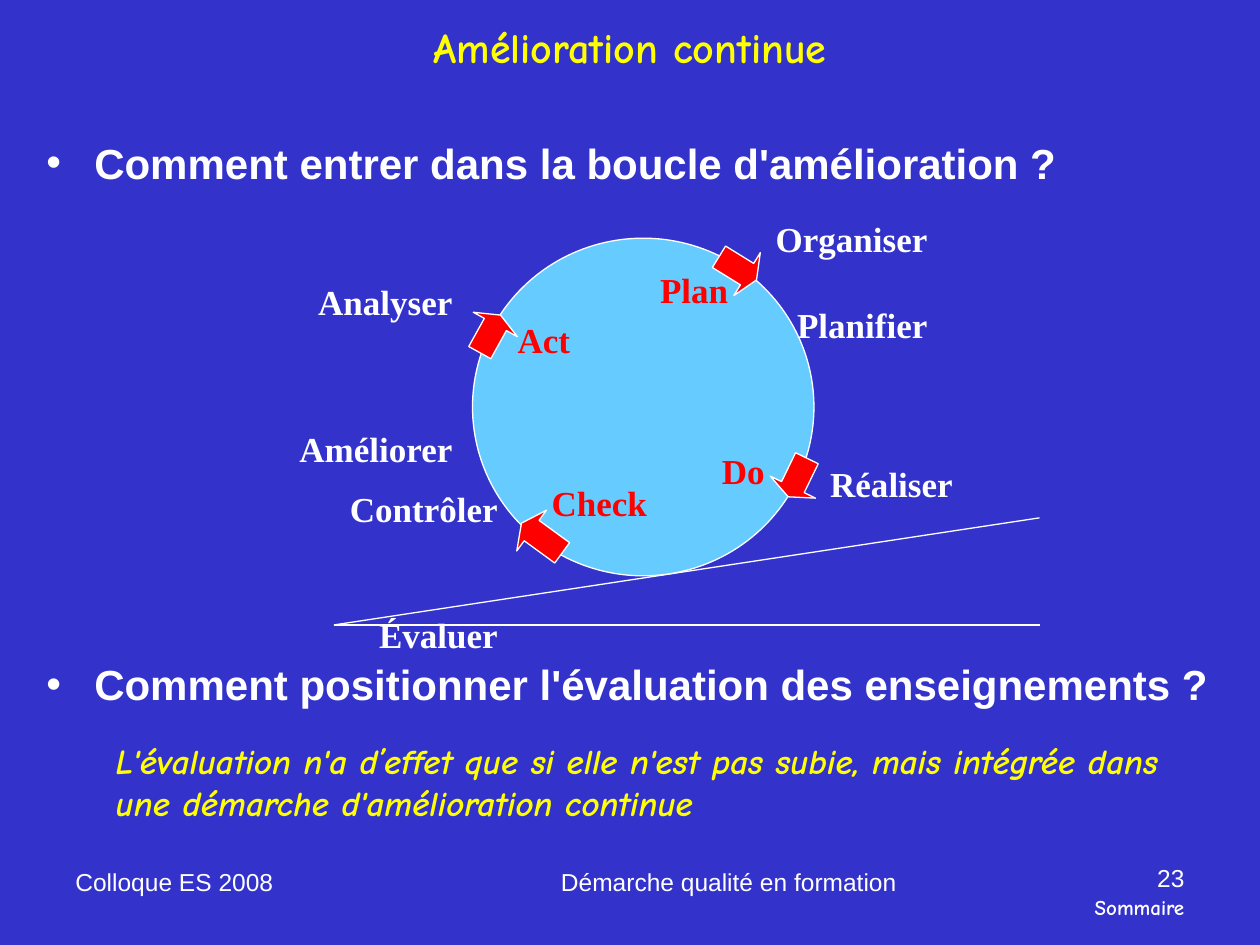
from dataclasses import dataclass

import pptx
import pptx.dml.color
import pptx.enum.shapes
import pptx.enum.text
import pptx.oxml.ns
import pptx.util
from lxml import etree

PX = 9144  # 100 px to the inch
INK = {"back": "3333CC", "text": "FFFFFF", "key": "FF0000",
       "accent": "FFFF00", "wheel": "66CCFF"}
ALIGN = pptx.enum.text.PP_ALIGN
KIND = pptx.enum.shapes.MSO_SHAPE
SERIF, SANS, COMIC = "Times New Roman", "Arial", "Comic Neue"


@dataclass
class Label:
    box: tuple[int, int, int, int]
    lines: list[str]
    ink: str = "text"
    font: str = SERIF
    size: int = 20
    bold: bool = True
    slant: bool = False
    align: ALIGN = ALIGN.LEFT
    gap: int = 0
    bullet: bool = False


@dataclass
class Arrow:
    kind: KIND
    box: tuple[int, int, int, int]
    turn: float


def emu(box: tuple) -> list[int]:
    return [n * PX for n in box]


def color(name: str) -> pptx.dml.color.RGBColor:
    return pptx.dml.color.RGBColor.from_string(INK[name])


def add_bullet(para) -> None:
    props = para._p.get_or_add_pPr()
    props.set("marL", str(38 * PX))
    props.set("indent", str(-38 * PX))
    face = etree.SubElement(props, pptx.oxml.ns.qn("a:buFont"))
    face.set("typeface", SANS)
    mark = etree.SubElement(props, pptx.oxml.ns.qn("a:buChar"))
    mark.set("char", "•")


def write(frame, label: Label) -> None:
    frame.word_wrap = True
    frame.auto_size = pptx.enum.text.MSO_AUTO_SIZE.NONE
    for i, line in enumerate(label.lines):
        para = frame.add_paragraph() if i else frame.paragraphs[0]
        para.text = line
        para.alignment = label.align
        if i:
            para.space_before = pptx.util.Pt(label.gap)
        if label.bullet:
            add_bullet(para)
        font = para.font
        font.name, font.size = label.font, pptx.util.Pt(label.size)
        font.bold, font.italic = label.bold, label.slant
        font.color.rgb = color(label.ink)


def add_label(slide, label: Label) -> None:
    write(slide.shapes.add_textbox(*emu(label.box)).text_frame, label)


def add_form(slide, kind: KIND, box: tuple, fill: str):
    form = slide.shapes.add_shape(kind, *emu(box))
    form.shadow.inherit = False
    form.fill.solid()
    form.fill.fore_color.rgb = color(fill)
    form.line.color.rgb = color("text")
    form.line.width = pptx.util.Pt(0.75)
    return form


def add_arrow(slide, arrow: Arrow) -> None:
    form = add_form(slide, arrow.kind, arrow.box, "key")
    form.rotation = arrow.turn
    form.adjustments[0], form.adjustments[1] = 0.5, 0.25


def add_line(slide, ends: tuple) -> None:
    line = slide.shapes.add_connector(
        pptx.enum.shapes.MSO_CONNECTOR.STRAIGHT, *emu(ends))
    line.line.color.rgb = color("text")
    line.line.width = pptx.util.Pt(0.75)
    etree.SubElement(line._element.spPr, pptx.oxml.ns.qn("a:effectLst"))


TITLE = Label((0, 0, 1000, 74), ["Amélioration continue"], "accent", COMIC, 24,
              align=ALIGN.CENTER)

LINES = [(265, 496, 825, 496), (265, 496, 825, 411)]

ARROWS = [
    Arrow(KIND.RIGHT_ARROW, (568, 193, 35, 40), 31.7),
    Arrow(KIND.DOWN_ARROW, (613, 362, 40, 34), 25.9),
    Arrow(KIND.UP_ARROW, (369, 248, 40, 34), 29),
    Arrow(KIND.LEFT_ARROW, (410, 407, 40, 40), 36.1),
]

LABELS = [
    # Steps inside the wheel
    Label((514, 208, 86, 44), ["Plan"], "key"),
    Label((563, 352, 75, 44), ["Do"], "key"),
    Label((428, 377, 110, 44), ["Check"], "key"),
    Label((401, 248, 68, 44), ["Act"], "key"),
    # Actions around the wheel
    Label((219, 218, 150, 161), ["Analyser", "Améliorer"],
          align=ALIGN.RIGHT, gap=60),
    Label((604, 168, 142, 110), ["Organiser", "Planifier"],
          align=ALIGN.RIGHT, gap=25),
    Label((649, 362, 122, 44), ["Réaliser"]),
    Label((264, 382, 141, 144), ["Contrôler", "Évaluer"],
          align=ALIGN.RIGHT, gap=48),
    # Questions and conclusion
    Label((27, 104, 973, 64), ["Comment entrer dans la boucle d'amélioration ?"],
          font=SANS, size=24, bullet=True),
    Label((27, 518, 973, 64),
          ["Comment positionner l'évaluation des enseignements ?"],
          font=SANS, size=24, bullet=True),
    Label((82, 582, 881, 77),
          ["L'évaluation n'a d’effet que si elle n'est pas subie, mais intégrée "
           "dans une démarche d'amélioration continue"],
          "accent", COMIC, slant=True),
    # Footer
    Label((859, 705, 123, 30), ["Sommaire"], font=COMIC, size=12),
    Label((342, 683, 473, 52), ["Démarche qualité en formation"], font=SANS,
          size=14, bold=False, align=ALIGN.CENTER),
    Label((864, 680, 86, 52), ["23"], font=SANS, size=14, bold=False,
          align=ALIGN.RIGHT),
    Label((50, 683, 233, 52), ["Colloque ES 2008"], font=SANS, size=14,
          bold=False),
]


def main() -> None:
    deck = pptx.Presentation()
    deck.slide_width, deck.slide_height = emu((1000, 750))
    slide = deck.slides.add_slide(deck.slide_layouts[5])
    slide.background.fill.solid()
    slide.background.fill.fore_color.rgb = color("back")

    # Title
    title = slide.shapes.title
    title.left, title.top, title.width, title.height = emu(TITLE.box)
    title.text_frame.vertical_anchor = pptx.enum.text.MSO_ANCHOR.MIDDLE
    write(title.text_frame, TITLE)

    # Slope, wheel and arrows
    for ends in LINES:
        add_line(slide, ends)
    add_form(slide, KIND.OVAL, (375, 189, 271, 268), "wheel")
    for arrow in ARROWS:
        add_arrow(slide, arrow)

    # Texts
    for label in LABELS:
        add_label(slide, label)

    deck.save("out.pptx")


if __name__ == "__main__":
    main()
